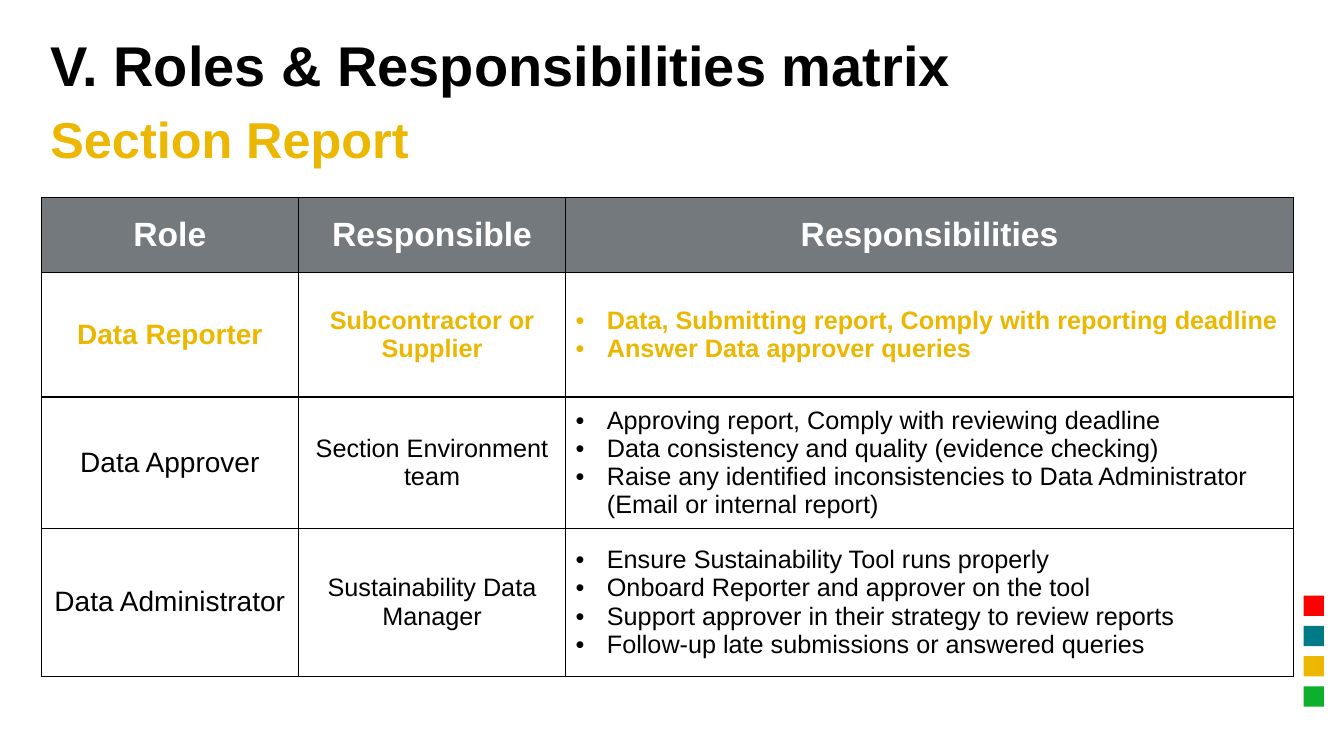
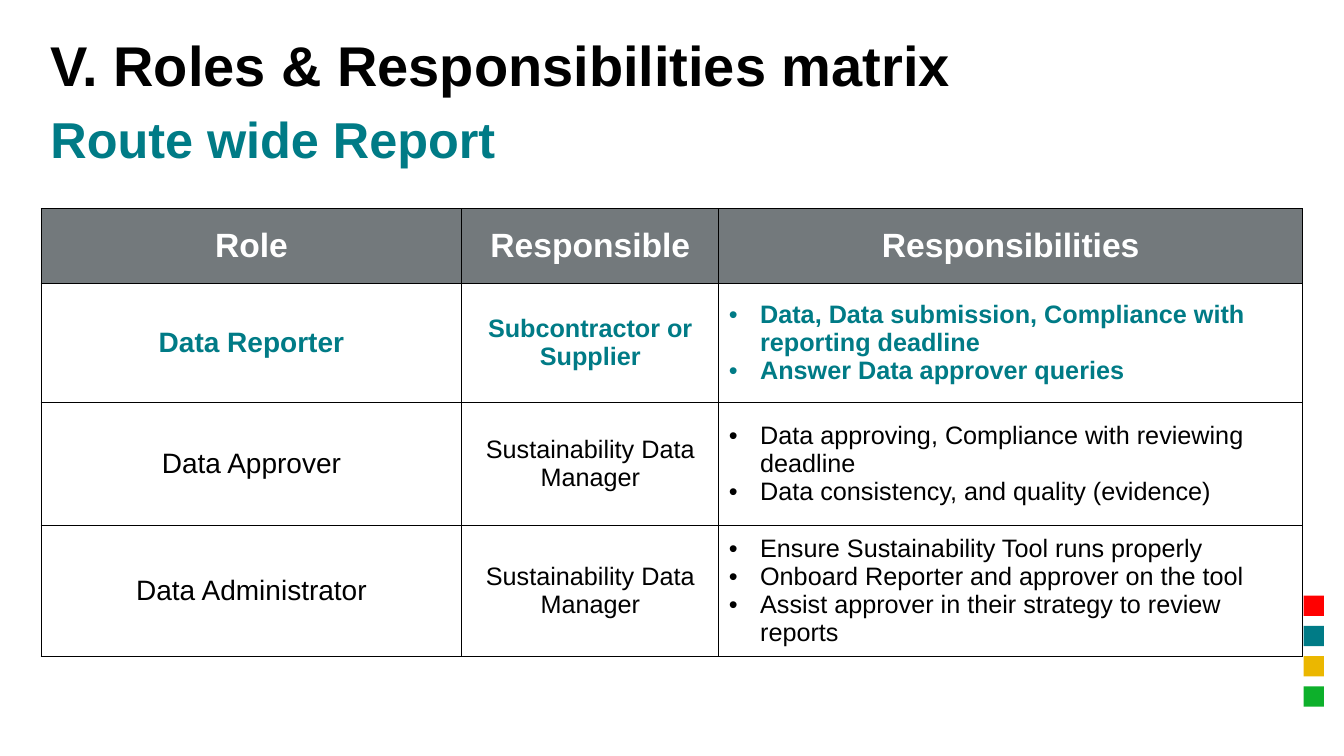
from dataclasses import dataclass

from lxml import etree
from pptx import Presentation
from pptx.dml.color import RGBColor
from pptx.enum.shapes import MSO_SHAPE as Shape
from pptx.enum.text import MSO_ANCHOR as Anchor, PP_ALIGN as Align
from pptx.oxml import parse_xml
from pptx.oxml.ns import nsdecls, qn
from pptx.util import Inches, Pt


@dataclass(frozen=True)
class Theme:
    font: str = "Arial"
    black: str = "000000"
    white: str = "FFFFFF"
    header: str = "73797C"
    red: str = "FF0000"
    teal: str = "007B86"
    yellow: str = "EBB700"
    green: str = "0DB02B"
    title_size: int = 40
    subtitle_size: int = 36
    header_size: int = 24
    role_size: int = 20
    body_size: int = 18


theme = Theme()

TITLE = "V. Roles & Responsibilities matrix"
HEADERS = ("Role", "Responsible", "Responsibilities")
TABLE_LEFT = 0.41
BULLET_INDENT = Inches(0.31)
SQUARE_SIZE, SQUARE_STEP = 0.2, 0.3

MATRICES = [
    {
        "subtitle": "Section Report",
        "accent": theme.yellow,
        "top": 1.96,
        "columns": (2.55, 2.65, 7.22),
        "rows": (0.74, 1.24, 1.28, 1.47),
        "roles": [
            ("Data Reporter", "Subcontractor or Supplier", [
                "Data, Submitting report, Comply with reporting deadline",
                "Answer Data approver queries",
            ]),
            ("Data Approver", "Section Environment team", [
                "Approving report, Comply with reviewing deadline",
                "Data consistency and quality (evidence checking)",
                "Raise any identified inconsistencies to Data Administrator "
                "(Email or internal report)",
            ]),
            ("Data Administrator", "Sustainability Data Manager", [
                "Ensure Sustainability Tool runs properly",
                "Onboard Reporter and approver on the tool",
                "Support approver in their strategy to review reports",
                "Follow-up late submissions or answered queries",
            ]),
        ],
    },
    {
        "subtitle": "Route wide Report",
        "accent": theme.teal,
        "top": 2.07,
        "columns": (4.17, 2.55, 5.79),
        "rows": (0.74, 1.18, 1.22, 1.22),
        "roles": [
            ("Data Reporter", "Subcontractor or Supplier", [
                "Data, Data submission, Compliance with reporting deadline",
                "Answer Data approver queries",
            ]),
            ("Data Approver", "Sustainability Data Manager", [
                "Data approving, Compliance with reviewing deadline",
                "Data consistency, and quality (evidence)",
            ]),
            ("Data Administrator", "Sustainability Data Manager", [
                "Ensure Sustainability Tool runs properly",
                "Onboard Reporter and approver on the tool",
                "Assist approver in their strategy to review reports",
            ]),
        ],
    },
]


def write(frame, lines, size, color, bold, align=Align.LEFT, bullets=False):
    """Fill a text frame with one paragraph per line."""
    for index, line in enumerate(lines):
        paragraph = frame.paragraphs[0] if index == 0 else frame.add_paragraph()
        paragraph.alignment = align
        if bullets:
            properties = paragraph._p.get_or_add_pPr()
            properties.set("marL", str(BULLET_INDENT))
            properties.set("indent", str(-BULLET_INDENT))
            bullet_font = etree.SubElement(properties, qn("a:buFont"))
            bullet_font.set("typeface", theme.font)
            etree.SubElement(properties, qn("a:buChar")).set("char", "•")
        run = paragraph.add_run()
        run.text = line
        run.font.name = theme.font
        run.font.size = Pt(size)
        run.font.bold = bold
        run.font.color.rgb = RGBColor.from_string(color)


def style_cell(cell, fill):
    """Give a cell a thin black border, a plain fill and centred height."""
    properties = cell._tc.get_or_add_tcPr()
    for side in ("lnL", "lnR", "lnT", "lnB"):
        properties.append(parse_xml(
            f'<a:{side} {nsdecls("a")} w="{Pt(1)}"><a:solidFill>'
            f'<a:srgbClr val="{theme.black}"/></a:solidFill></a:{side}>'))
    cell.fill.solid()
    cell.fill.fore_color.rgb = RGBColor.from_string(fill)
    cell.vertical_anchor = Anchor.MIDDLE


presentation = Presentation()
presentation.slide_width = Inches(13.33)
presentation.slide_height = Inches(7.5)
blank_layout = presentation.slide_layouts[6]

for matrix in MATRICES:
    slide = presentation.slides.add_slide(blank_layout)

    for index, color in enumerate((theme.red, theme.teal, theme.yellow, theme.green)):
        square = slide.shapes.add_shape(
            Shape.RECTANGLE, Inches(12.93), Inches(5.91 + index * SQUARE_STEP),
            Inches(SQUARE_SIZE), Inches(SQUARE_SIZE))
        square.shadow.inherit = False
        square.fill.solid()
        square.fill.fore_color.rgb = RGBColor.from_string(color)
        square.line.fill.background()

    headings = (
        (TITLE, 0.25, 12.33, 0.78, theme.title_size, theme.black),
        (matrix["subtitle"], 1.04, 6.5, 0.67, theme.subtitle_size, matrix["accent"]),
    )
    for text, top, width, height, size, color in headings:
        frame = slide.shapes.add_textbox(
            Inches(0.5), Inches(top), Inches(width), Inches(height)).text_frame
        frame.word_wrap = True
        frame.vertical_anchor = Anchor.MIDDLE
        frame.margin_left = frame.margin_right = 0
        frame.margin_top = frame.margin_bottom = 0
        write(frame, [text], size, color, bold=True)

    columns, rows = matrix["columns"], matrix["rows"]
    table = slide.shapes.add_table(
        len(rows), len(columns), Inches(TABLE_LEFT), Inches(matrix["top"]),
        Inches(sum(columns)), Inches(sum(rows))).table
    table.horz_banding = False
    for column, width in zip(table.columns, columns):
        column.width = Inches(width)
    for row, height in zip(table.rows, rows):
        row.height = Inches(height)

    for cell, header in zip(table.rows[0].cells, HEADERS):
        style_cell(cell, theme.header)
        write(cell.text_frame, [header], theme.header_size, theme.white, True, Align.CENTER)

    for row_index, (role, responsible, duties) in enumerate(matrix["roles"], start=1):
        highlighted = row_index == 1
        color = matrix["accent"] if highlighted else theme.black
        role_cell, responsible_cell, duties_cell = table.rows[row_index].cells
        for cell in (role_cell, responsible_cell, duties_cell):
            style_cell(cell, theme.white)
        write(role_cell.text_frame, [role], theme.role_size, color, highlighted, Align.CENTER)
        write(responsible_cell.text_frame, [responsible], theme.body_size, color,
              highlighted, Align.CENTER)
        write(duties_cell.text_frame, duties, theme.body_size, color, highlighted, bullets=True)

presentation.save("out.pptx")
